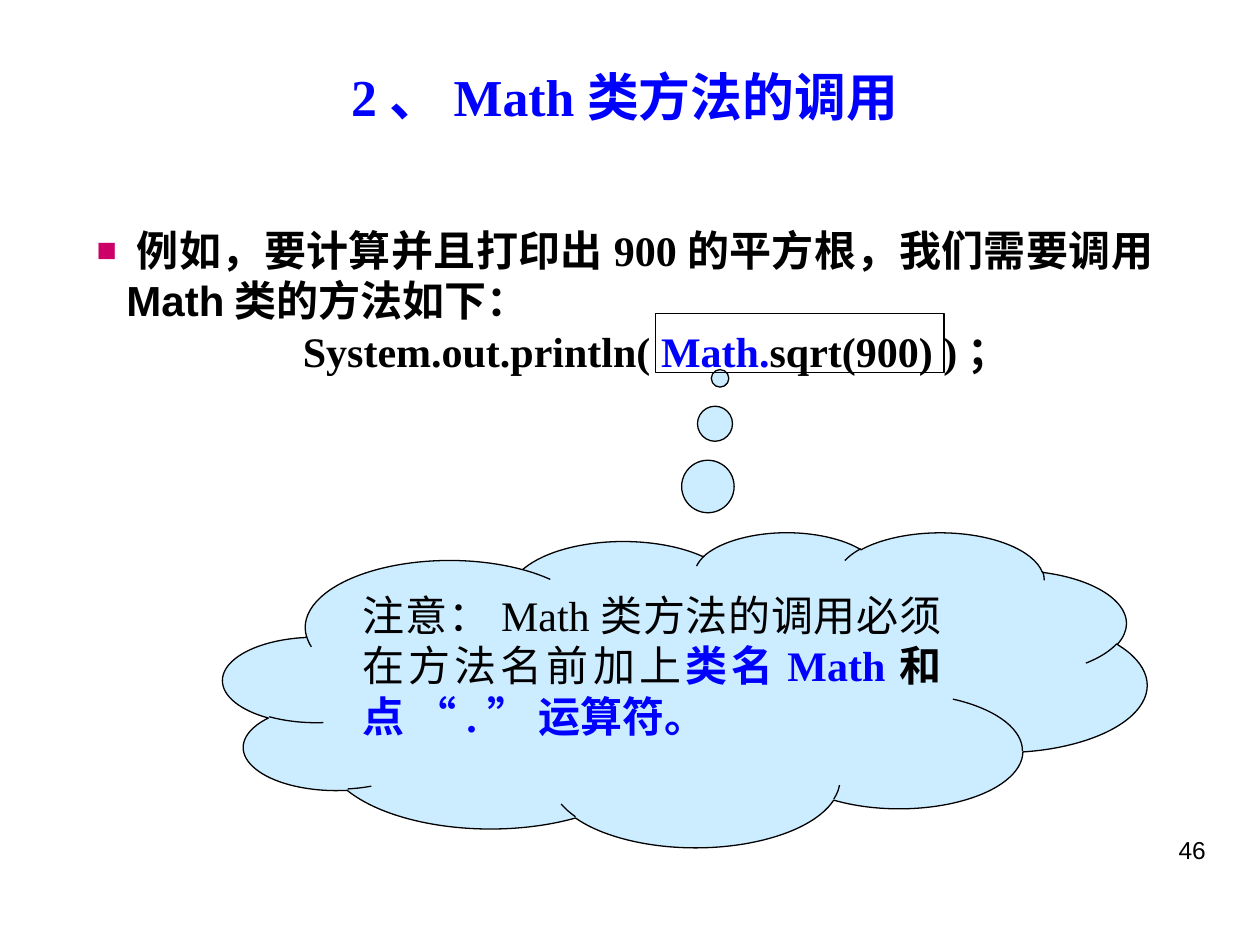
from dataclasses import dataclass

import pptx
import pptx.dml.color
import pptx.enum.lang
import pptx.enum.shapes
import pptx.enum.text
import pptx.oxml.ns
import pptx.util
from lxml import etree

Cm = pptx.util.Cm
Pt = pptx.util.Pt
ALIGN = pptx.enum.text.PP_ALIGN
SHAPE = pptx.enum.shapes.MSO_SHAPE


@dataclass(frozen=True)
class Theme:
    ink: str = "000000"
    accent: str = "0000FF"
    bullet: str = "CC0066"
    cloud: str = "CCECFF"
    chinese: str = "Noto Sans CJK SC"
    serif: str = "Times New Roman"
    sans: str = "Arial"
    title_size: float = 29.6
    body_size: float = 24
    number_size: float = 14
    line_pitch: float = 28.9
    outline: float = 0.75


THEME = Theme()


def color(value):
    return pptx.dml.color.RGBColor.from_string(value)


def add_element(parent, tag, **attributes):
    return etree.SubElement(parent, pptx.oxml.ns.qn(tag), attributes)


def add_run(paragraph, text, font_name, size, ink=THEME.ink, bold=False):
    run = paragraph.add_run()
    run.text = text
    font = run.font
    font.size, font.bold, font.name = Pt(size), bold, font_name
    font.color.rgb = color(ink)
    font.language_id = pptx.enum.lang.MSO_LANGUAGE_ID.SIMPLIFIED_CHINESE
    add_element(run._r.get_or_add_rPr(), "a:ea", typeface=THEME.chinese)


def prepare_frame(shape, top_inset=0.13):
    frame = shape.text_frame
    frame.word_wrap = True
    frame.vertical_anchor = pptx.enum.text.MSO_ANCHOR.TOP
    frame.margin_left = frame.margin_right = Cm(0.25)
    frame.margin_top, frame.margin_bottom = Cm(top_inset), Cm(0.13)
    return frame


def add_text_box(slide, box, top_inset=0.13):
    shape = slide.shapes.add_textbox(*map(Cm, box))
    return prepare_frame(shape, top_inset)


def add_outlined_shape(slide, kind, box):
    shape = slide.shapes.add_shape(kind, *map(Cm, box))
    shape.shadow.inherit = False
    shape.line.color.rgb = color(THEME.ink)
    shape.line.width = Pt(THEME.outline)
    return shape


def set_bullet(paragraph, indent):
    properties = paragraph._p.get_or_add_pPr()
    properties.set("marL", str(indent))
    properties.set("indent", str(-indent))
    bullet_color = add_element(properties, "a:buClr")
    add_element(bullet_color, "a:srgbClr", val=THEME.bullet)
    add_element(properties, "a:buSzPct", val="80000")
    add_element(properties, "a:buFont", typeface=THEME.sans)
    add_element(properties, "a:buChar", char="■")


def add_title(slide, box):
    paragraph = add_text_box(slide, box).paragraphs[0]
    paragraph.alignment = ALIGN.CENTER
    paragraph.line_spacing = 0.7
    add_run(paragraph, "2、Math类方法的调用", THEME.serif, THEME.title_size,
            THEME.accent, True)


def add_example(slide, box):
    left, top, _, _ = box
    frame = add_text_box(slide, box, top_inset=0.2)

    # Bulleted sentence
    sentence = frame.paragraphs[0]
    sentence.alignment = ALIGN.JUSTIFY
    sentence.line_spacing = Pt(THEME.line_pitch)
    set_bullet(sentence, Cm(0.6))
    for text, font_name in (
        (" 例如，要计算并且打印出", THEME.chinese),
        ("900", THEME.serif),
        ("的平方根，我们需要调用", THEME.chinese),
        ("Math类的", THEME.sans),
        ("方法如下：", THEME.chinese),
    ):
        add_run(sentence, text, font_name, THEME.body_size, bold=True)

    # Line of code
    code = frame.add_paragraph()
    code.alignment = ALIGN.CENTER
    code.line_spacing = Pt(THEME.line_pitch)
    for text, ink in (
        ("     System.out.println( ", THEME.ink),
        ("Math.", THEME.accent),
        ("sqrt(900) )；", THEME.ink),
    ):
        add_run(code, text, THEME.serif, THEME.body_size, ink, True)

    # Frame around the method call
    call_frame = (left + 11.51, top + 2, 5.82, 1.19)
    return call_frame


def add_call_frame(slide, box):
    add_outlined_shape(slide, SHAPE.RECTANGLE, box).fill.background()


def add_note_cloud(slide, box):
    cloud = add_outlined_shape(slide, SHAPE.CLOUD_CALLOUT, box)
    cloud.fill.solid()
    cloud.fill.fore_color.rgb = color(THEME.cloud)
    cloud.adjustments[0] = 0.038
    cloud.adjustments[1] = -0.987
    paragraph = prepare_frame(cloud, top_inset=0.2).paragraphs[0]
    paragraph.alignment = ALIGN.JUSTIFY
    paragraph.line_spacing = Pt(THEME.line_pitch)
    for text, font_name, ink, bold in (
        ("注意：", THEME.chinese, THEME.ink, False),
        ("Math", THEME.serif, THEME.ink, False),
        ("类方法的调用必须在方法名前加上", THEME.chinese, THEME.ink, False),
        ("类名", THEME.chinese, THEME.accent, True),
        ("Math", THEME.serif, THEME.accent, True),
        ("和", THEME.chinese, THEME.ink, True),
        ("点 “", THEME.chinese, THEME.accent, True),
        (".", THEME.serif, THEME.accent, True),
        ("” 运算符。", THEME.chinese, THEME.accent, True),
    ):
        add_run(paragraph, text, font_name, THEME.body_size, ink, bold)


def add_slide_number(slide, box):
    paragraph = add_text_box(slide, box).paragraphs[0]
    paragraph.alignment = ALIGN.RIGHT
    add_run(paragraph, "46", THEME.sans, THEME.number_size)


def main():
    presentation = pptx.Presentation()
    presentation.slide_width, presentation.slide_height = Cm(25.4), Cm(19.05)
    slide = presentation.slides.add_slide(presentation.slide_layouts[6])
    add_slide_number(slide, (18.21, 16.71, 6.35, 1.32))
    add_title(slide, (1.7, 1.52, 21.79, 1.27))
    call_frame = add_example(slide, (1.7, 4.32, 22, 4.32))
    add_note_cloud(slide, (4.5, 10.72, 18.62, 6.35))
    add_call_frame(slide, call_frame)
    presentation.save("out.pptx")


if __name__ == "__main__":
    main()
